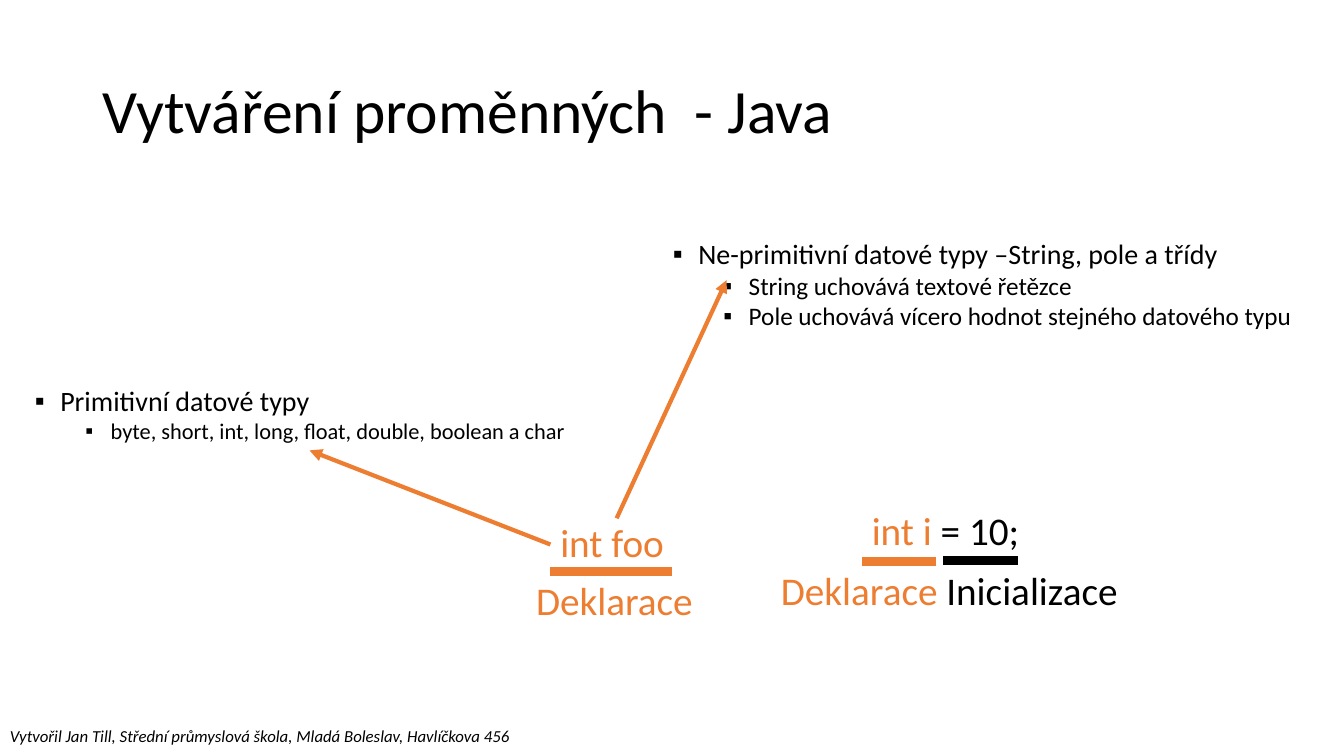
from pptx import Presentation
from pptx.dml.color import RGBColor
from pptx.enum.shapes import MSO_CONNECTOR as CONN
from pptx.enum.text import MSO_ANCHOR as ANCHOR
from pptx.oxml.ns import qn
from pptx.util import Cm, Pt
from lxml.etree import SubElement

ORANGE, BLACK = "ED7D31", "000000"


def rgb(value):
    return RGBColor.from_string(value)


def add_run(p, text, size=28, color=BLACK, italic=False, font="Calibri"):
    r = p.add_run()
    r.text = text
    r.font.name, r.font.size, r.font.italic = font, Pt(size), italic
    r.font.color.rgb = rgb(color)


class Deck:
    """Holds the presentation, its style and the current slide."""
    label_h = 1.45
    bullet_step, bullet_hang = 1.27, 0.64

    def __init__(self, width, height):
        self.prs = Presentation()
        self.prs.slide_width, self.prs.slide_height = Cm(width), Cm(height)
        self.slide = self.prs.slides.add_slide(self.prs.slide_layouts[6])

    def box(self, x, y, w, h, anchor=ANCHOR.TOP):
        tf = self.slide.shapes.add_textbox(Cm(x), Cm(y), Cm(w), Cm(h)).text_frame
        tf.word_wrap, tf.vertical_anchor = True, anchor
        return tf

    def text(self, x, y, w, h, *runs, spacing=1.0, anchor=ANCHOR.TOP, **fmt):
        """One paragraph; each run is a (text, color) pair."""
        p = self.box(x, y, w, h, anchor).paragraphs[0]
        p.line_spacing = spacing
        for text, color in runs:
            add_run(p, text, color=color, **fmt)

    def bullets(self, x, y, w, h, items):
        """Bulleted list; each item is (level, size, text)."""
        tf = self.box(x, y, w, h)
        for i, (level, size, text) in enumerate(items):
            p = tf.add_paragraph() if i else tf.paragraphs[0]
            p.level = level
            pPr = p._p.get_or_add_pPr()
            pPr.set("marL", str(Cm(self.bullet_step * (level + 1))))
            pPr.set("indent", str(-Cm(self.bullet_hang)))
            SubElement(pPr, qn("a:buFont"), typeface="Arial")
            SubElement(pPr, qn("a:buChar"), char="▪")
            add_run(p, text, size)

    def line(self, x1, y1, x2, y2, color=ORANGE, width=6, arrow=False):
        cn = self.slide.shapes.add_connector(
            CONN.STRAIGHT, Cm(x1), Cm(y1), Cm(x2), Cm(y2))
        cn.line.color.rgb, cn.line.width = rgb(color), Pt(width)
        if arrow:
            SubElement(cn.line._get_or_add_ln(), qn("a:tailEnd"), type="triangle")
        SubElement(cn._element.spPr, qn("a:effectLst"))

    def code(self, x, y, *runs):
        self.text(x, y, 4.45, 1.37, *runs, spacing=0.9)

    def label(self, x, y, text, color=ORANGE, w=4.5):
        self.text(x, y, w, self.label_h, (text, color))


s = Deck(33.87, 19.05)

# Title and footer
s.text(2.33, 1.01, 29.21, 3.68, ("Vytváření proměnných  - Java", BLACK),
       size=44, spacing=0.9, anchor=ANCHOR.MIDDLE)
s.text(0, 18.16, 13.23, 0.76,
       ("Vytvořil Jan Till, Střední průmyslová škola, Mladá Boleslav, "
        "Havlíčkova 456", BLACK), size=12, italic=True)

# Declaration with initialization
s.code(21.72, 12.78, ("int i ", ORANGE), ("= 10;", BLACK))
s.line(23.6, 14.15, 21.72, 14.15)
s.label(19.43, 14.15, "Deklarace")
s.line(25.65, 14.12, 23.77, 14.12, BLACK)
s.label(23.6, 14.15, "Inicializace", BLACK, w=4.88)

# Declaration only
s.code(13.87, 13.06, ("int foo", ORANGE))
s.line(16.94, 14.4, 13.87, 14.4)
s.label(13.26, 14.4, "Deklarace")

# Data types
s.bullets(0, 9.55, 14.94, 2.57, [
    (0, 20, "Primitivní datové typy"),
    (1, 16, "byte, short, int, long, float, double, boolean a char"),
])
s.bullets(16.08, 5.84, 16.94, 4.19, [
    (0, 20, "Ne-primitivní datové typy –String, pole a třídy"),
    (1, 18, "String uchovává textové řetězce"),
    (1, 18, "Pole uchovává vícero hodnot stejného datového typu"),
])

# Arrows from the declaration to the data types
s.line(13.87, 13.72, 7.8, 11.35, width=3, arrow=True)
s.line(15.54, 13.06, 18.31, 7.06, width=3, arrow=True)

s.prs.save("out.pptx")
